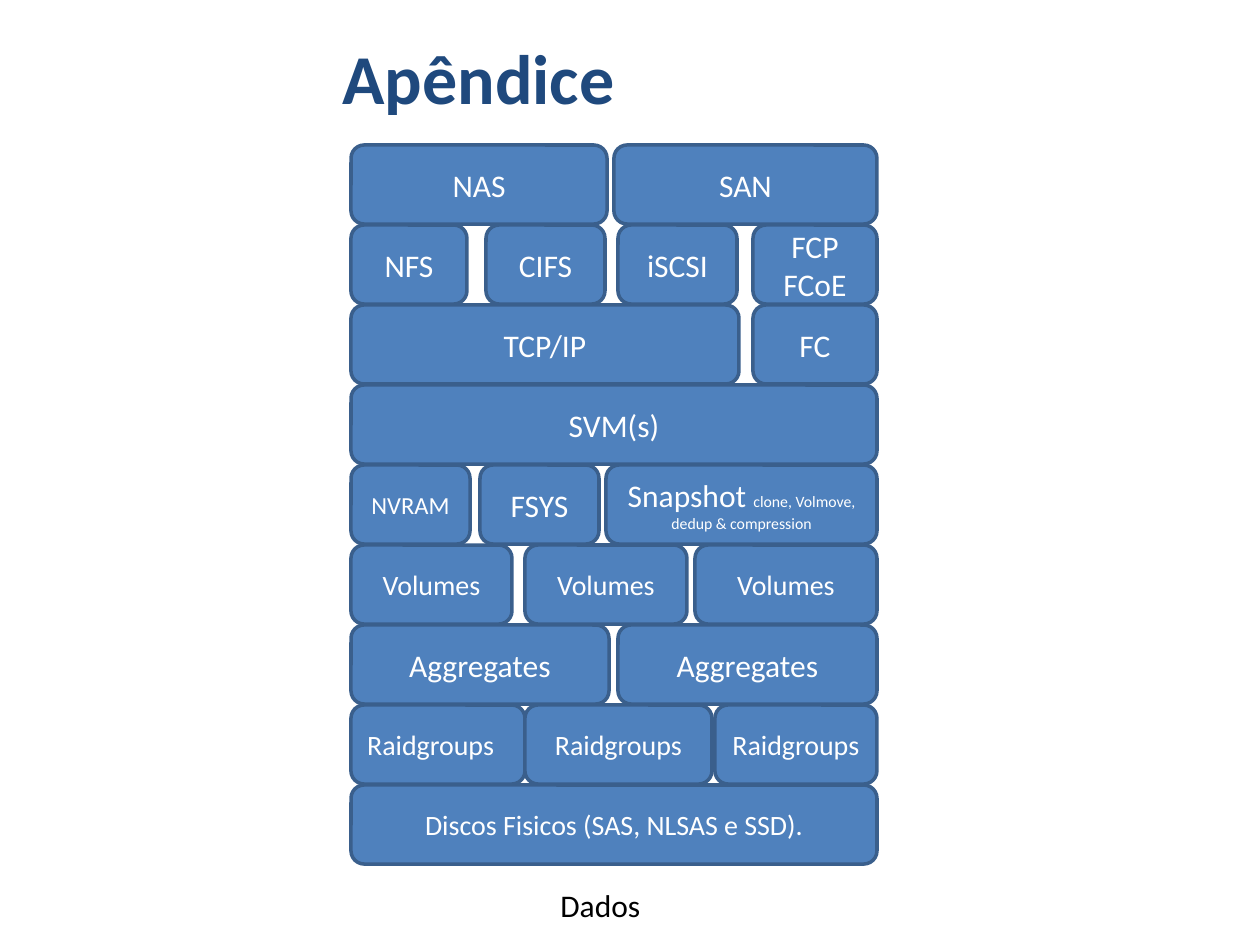
from pptx import Presentation
from pptx.dml.color import RGBColor
from pptx.enum.shapes import MSO_SHAPE as SHAPE
from pptx.enum.text import MSO_ANCHOR as ANCHOR, PP_ALIGN as ALIGN
from pptx.util import Emu, Pt

PX = 914400 / 126
FIRST_TOP, ROW_PITCH, BLOCK_HEIGHT = 145, 80, 79


def px(*lengths):
    return [Emu(round(length * PX)) for length in lengths]


def color(hex_value):
    return RGBColor.from_string(hex_value)


prs = Presentation()
prs.slide_width, prs.slide_height = px(1260, 945)
slide = prs.slides.add_slide(prs.slide_layouts[5])

# Title
title = slide.shapes.title
title.left, title.top, title.width, title.height = px(330, 28, 896, 128)
title.text_frame.vertical_anchor = ANCHOR.TOP
heading = title.text_frame.paragraphs[0]
heading.text = "Apêndice"
heading.alignment = ALIGN.LEFT
heading.font.name = "Calibri"
heading.font.size = Pt(40)
heading.font.bold = True
heading.font.color.rgb = color("1F497D")

# Layers of the storage stack: text, left, right, text size
layers = [
    [("NAS", 351, 607, 18), ("SAN", 614, 877, 18)],
    [("NFS", 351, 467, 18), ("CIFS", 486, 605, 18),
     ("iSCSI", 618, 737, 18), ("FCP\nFCoE", 753, 877, 18)],
    [("TCP/IP", 351, 739, 18), ("FC", 753, 877, 18)],
    [("SVM(s)", 351, 877, 18)],
    [("NVRAM", 351, 470, 14), ("FSYS", 480, 599, 18),
     ("Snapshot ", 606, 877, 18)],
    [("Volumes", 351, 512, 16), ("Volumes", 525, 687, 16),
     ("Volumes", 695, 877, 16)],
    [("Aggregates", 351, 609, 18), ("Aggregates", 618, 877, 18)],
    [("Raidgroups", 351, 525, 16), ("Raidgroups", 525, 712, 16),
     ("Raidgroups", 715, 877, 16)],
    [("Discos Fisicos (SAS, NLSAS e SSD).", 351, 877, 16)],
]

for row, layer in enumerate(layers):
    top = FIRST_TOP + row * ROW_PITCH
    for label, left, right, size in layer:
        block = slide.shapes.add_shape(
            SHAPE.ROUNDED_RECTANGLE, *px(left, top, right - left, BLOCK_HEIGHT))
        block.shadow.inherit = False
        block.fill.solid()
        block.fill.fore_color.rgb = color("4F81BD")
        block.line.color.rgb = color("3A5F8C")
        block.line.width = Pt(2)
        frame = block.text_frame
        frame.word_wrap = True
        frame.vertical_anchor = ANCHOR.MIDDLE
        frame.text = label
        for paragraph in frame.paragraphs:
            # The first RAID group is the only left-aligned label
            first_raid = label == "Raidgroups" and left == 351
            paragraph.alignment = ALIGN.LEFT if first_raid else ALIGN.CENTER
            paragraph.font.name = "Calibri"
            paragraph.font.size = Pt(size)
            paragraph.font.color.rgb = color("FFFFFF")
        if label == "Snapshot ":
            features = frame.paragraphs[0].add_run()
            features.text = "clone, Volmove, dedup & compression"
            features.font.size = Pt(9)

# Caption under the stack
caption = slide.shapes.add_textbox(*px(548, 880, 106, 50))
caption.text_frame.word_wrap = False
data = caption.text_frame.paragraphs[0]
data.text = "Dados"
data.font.name = "Calibri"
data.font.size = Pt(18)
data.font.color.rgb = color("000000")

prs.save("out.pptx")
